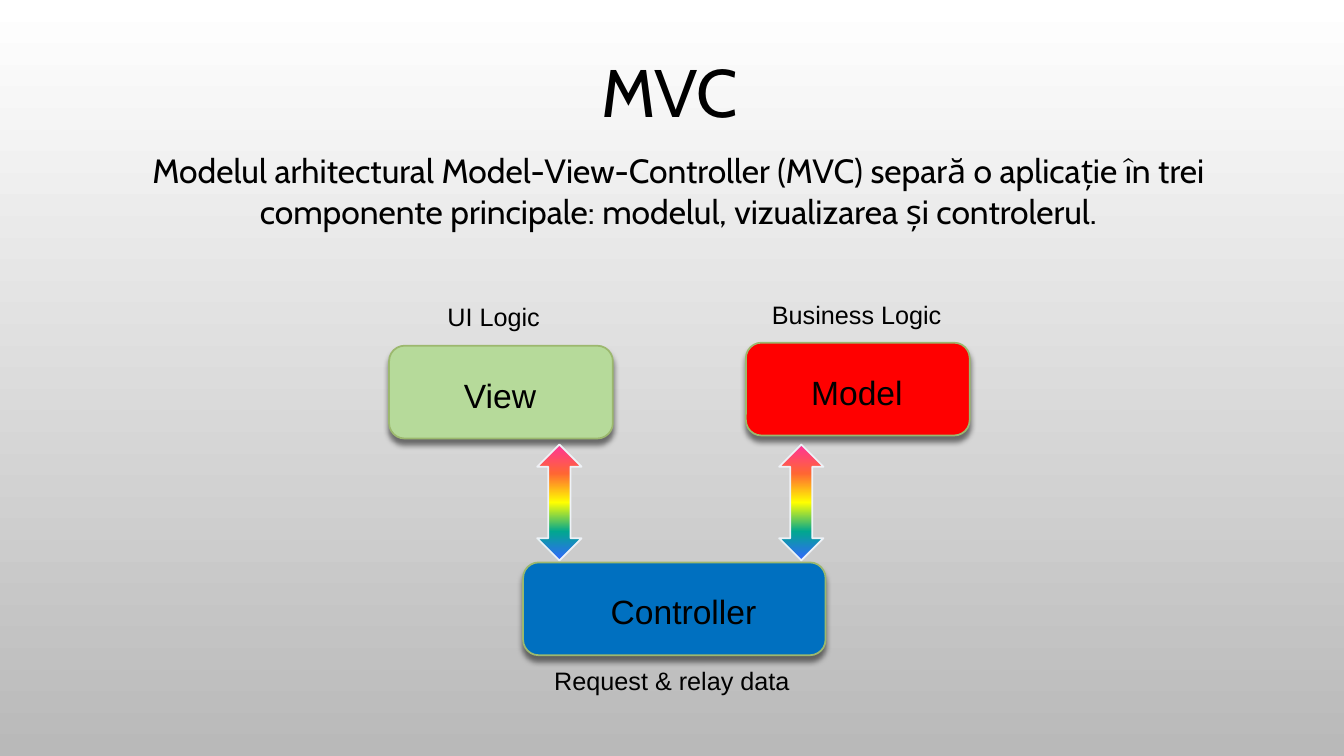
from lxml import etree
from pptx import Presentation
from pptx.dml.color import RGBColor
from pptx.enum import shapes, text
from pptx.oxml import ns
from pptx.util import Pt

BLACK = RGBColor(0x00, 0x00, 0x00)
GREEN = RGBColor(0xB6, 0xDA, 0x9A)
RED = RGBColor(0xFF, 0x00, 0x00)
BLUE = RGBColor(0x00, 0x70, 0xC0)
BOX_LINE = RGBColor(0x9C, 0xB8, 0x6E)
ARROW_LINE = RGBColor(0xEE, 0xF2, 0xF7)
BACKGROUND = [RGBColor(0xFF, 0xFF, 0xFF), RGBColor(0xB9, 0xB9, 0xB9)]
RAINBOW = [
    RGBColor(0xFF, 0x33, 0x99),
    RGBColor(0xFF, 0x66, 0x33),
    RGBColor(0xFF, 0xFF, 0x00),
    RGBColor(0x01, 0xA7, 0x8F),
    RGBColor(0x33, 0x66, 0xFF),
]
BOX_HEIGHT = 66.24


def add_element(parent, tag, **attributes):
    values = {name: str(value) for name, value in attributes.items()}
    return etree.SubElement(parent, ns.qn(tag), values)


def fill_downwards(owner, fill, colors):
    fill.gradient()
    fill.gradient_angle = 270
    stops = owner.element.xpath(".//a:gsLst")[0]
    for stop in list(stops):
        stops.remove(stop)
    for index, color in enumerate(colors):
        stop = add_element(stops, "a:gs", pos=index * 100000 // (len(colors) - 1))
        add_element(stop, "a:srgbClr", val=color)


def add_shadow(shape):
    effects = shape.element.spPr.find(ns.qn("a:effectLst"))
    shadow = add_element(effects, "a:outerShdw", blurRad=Pt(4), dist=Pt(4),
                         dir=5400000, algn="ctr", rotWithShape=0)
    color = add_element(shadow, "a:srgbClr", val=BLACK)
    add_element(color, "a:alpha", val=50000)


def add_text(slide, box, words, size, font="Arial", align=text.PP_ALIGN.CENTER):
    shape = slide.shapes.add_textbox(*map(Pt, box))
    frame = shape.text_frame
    frame.word_wrap = True
    frame.auto_size = text.MSO_AUTO_SIZE.SHAPE_TO_FIT_TEXT
    paragraph = frame.paragraphs[0]
    paragraph.text = words
    paragraph.alignment = align
    paragraph.font.size = Pt(size)
    paragraph.font.name = font
    paragraph.font.color.rgb = BLACK
    return frame


def add_shape(slide, kind, box, line_color):
    shape = slide.shapes.add_shape(kind, *map(Pt, box))
    shape.shadow.inherit = False
    shape.line.color.rgb = line_color
    shape.line.width = Pt(1.25)
    return shape


def add_heading(slide, left, top, width):
    title = add_text(slide, (left, top, width, 68.4), "MVC", 48, "Cabin")
    title.auto_size = text.MSO_AUTO_SIZE.NONE
    title.vertical_anchor = text.MSO_ANCHOR.BOTTOM
    title.paragraphs[0].line_spacing = 0.9
    add_text(slide, (left + 17.28, top + 74.16, width - 22.32, 65.52),
             "Modelul arhitectural Model-View-Controller (MVC) separă o aplicație "
             "în trei componente principale: modelul, vizualizarea și controlerul.",
             24, "Cabin")


def add_component(slide, box, color, name, name_box, caption, caption_box):
    left, top = box[:2]
    shape = add_shape(slide, shapes.MSO_SHAPE.ROUNDED_RECTANGLE, box, BOX_LINE)
    shape.fill.solid()
    shape.fill.fore_color.rgb = color
    add_shadow(shape)
    name_left, name_width = name_box
    add_text(slide, (left + name_left, top + 17, name_width, 36), name, 24)
    caption_left, caption_top, caption_width = caption_box
    add_text(slide, (left + caption_left, top + caption_top, caption_width, 28.8),
             caption, 18, align=text.PP_ALIGN.LEFT)


def add_exchange_arrow(slide, box):
    arrow = add_shape(slide, shapes.MSO_SHAPE.UP_DOWN_ARROW, box, ARROW_LINE)
    fill_downwards(arrow, arrow.fill, RAINBOW)


def add_diagram(slide, left, top):
    add_component(slide, (left, top + 2.16, 159.84, BOX_HEIGHT), GREEN,
                  "View", (20.88, 116.64), "UI Logic", (34.56, -35.28, 126.72))
    add_component(slide, (left + 254.88, top, 159.84, BOX_HEIGHT), RED,
                  "Model", (20.88, 116.64), "Business Logic", (11.52, -34.56, 144))
    add_component(slide, (left + 95.76, top + 156.96, 216, BOX_HEIGHT), BLUE,
                  "Controller", (50.4, 128.16),
                  "Request & relay data", (15.12, 69.84, 192.96))
    for offset in (105.8, 278.6):
        add_exchange_arrow(slide, (left + offset, top + 72.72, 31.68, 82.8))


def main():
    presentation = Presentation()
    presentation.slide_width = Pt(960)
    presentation.slide_height = Pt(540)
    slide = presentation.slides.add_slide(presentation.slide_layouts[6])
    fill_downwards(slide, slide.background.fill, BACKGROUND)
    add_heading(slide, 70.56, 29.52, 815.76)
    add_diagram(slide, 277.92, 244.8)
    presentation.save("out.pptx")


if __name__ == "__main__":
    main()
